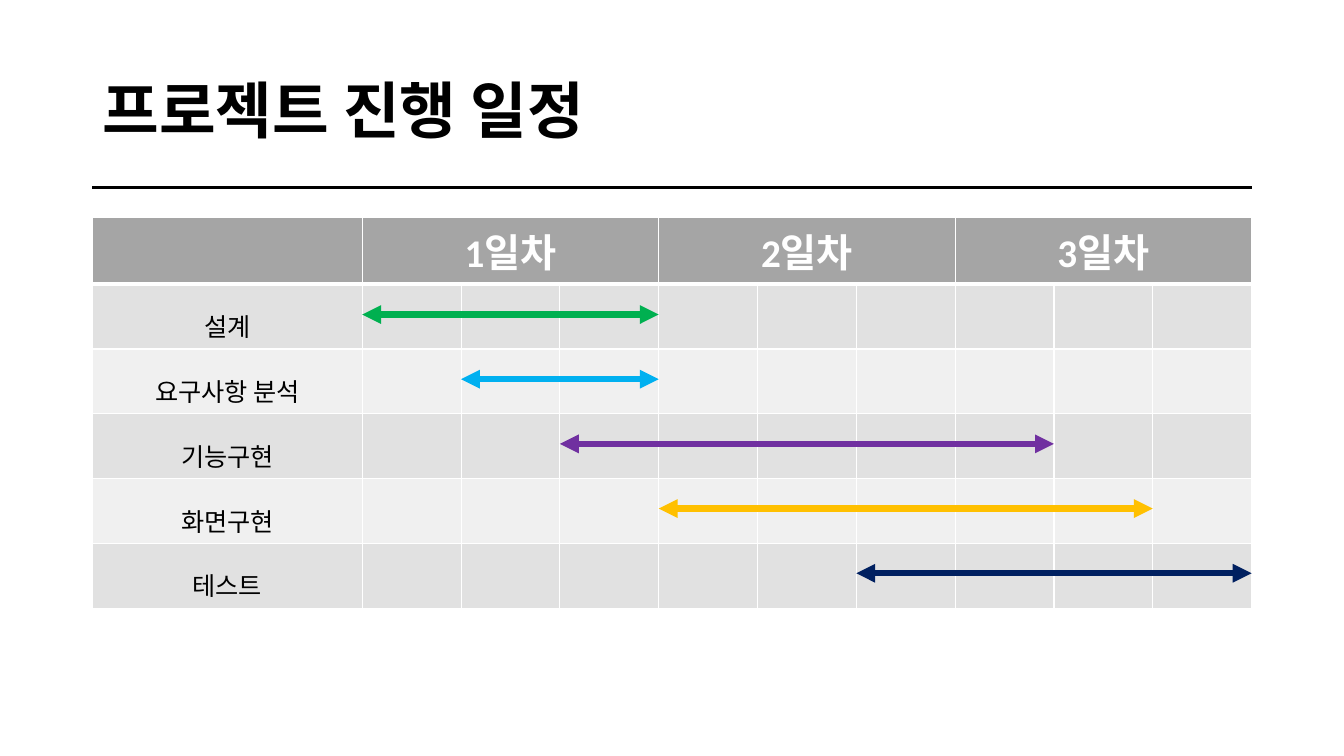
from dataclasses import dataclass

from lxml.etree import SubElement as Sub
from pptx import Presentation
from pptx.dml.color import RGBColor as RGB
from pptx.enum.shapes import MSO_CONNECTOR as Link
from pptx.enum.text import MSO_ANCHOR as Anchor, MSO_AUTO_SIZE as Fit, PP_ALIGN as Align
from pptx.oxml.ns import qn
from pptx.util import Cm, Pt


@dataclass(frozen=True)
class Theme:
    font: str = "Calibri"
    ink: str = "000000"
    white: str = "FFFFFF"
    head: str = "A5A5A5"
    bands: tuple = ("E1E1E1", "F0F0F0")
    title: int = 44
    day: int = 28
    label: int = 18


@dataclass(frozen=True)
class Box:
    left: float
    top: float
    width: float
    height: float


THEME = Theme()
DAYS = ("1일차", "2일차", "3일차")
PARTS = 3  # columns per day
LABEL_W = 6.8
# task, first column edge, last column edge, arrow colour
TASKS = (
    ("설계", 0, 3, "00B050"),
    ("요구사항 분석", 1, 3, "00B0F0"),
    ("기능구현", 2, 7, "7030A0"),
    ("화면구현", 3, 8, "FFC000"),
    ("테스트", 5, 9, "002060"),
)


def style(par, size, color, bold=False, align=Align.CENTER, space=None):
    font = par.font
    font.name, font.size, font.bold = THEME.font, Pt(size), bold
    font.color.rgb = RGB.from_string(color)
    par.alignment = align
    if space:
        par.line_spacing = space


def draw_line(slide, start, end, color, width, heads=False):
    line = slide.shapes.add_connector(Link.STRAIGHT, *map(Cm, start + end))
    line.line.color.rgb = RGB.from_string(color)
    line.line.width = Pt(width)
    if heads:
        stroke = line.line._get_or_add_ln()
        for tag in ("a:headEnd", "a:tailEnd"):
            Sub(stroke, qn(tag), type="triangle")
    Sub(line._element.spPr, qn("a:effectLst"))


def paint(cell, fill, top=1, base=1):
    """Give a cell its fill and white borders."""
    props = cell._tc.get_or_add_tcPr()
    for side, width in (("L", 1), ("R", 1), ("T", top), ("B", base)):
        edge = Sub(props, qn(f"a:ln{side}"), w=str(Pt(width)))
        Sub(Sub(edge, qn("a:solidFill")), qn("a:srgbClr"), val=THEME.white)
    cell.fill.solid()
    cell.fill.fore_color.rgb = RGB.from_string(fill)


def add_title(slide, box, text):
    title = slide.shapes.title
    title.left, title.top = Cm(box.left), Cm(box.top)
    title.width, title.height = Cm(box.width), Cm(box.height)
    frame = title.text_frame
    frame.text = text
    frame.auto_size, frame.vertical_anchor = Fit.NONE, Anchor.MIDDLE
    style(frame.paragraphs[0], THEME.title, THEME.ink, True, Align.LEFT, 0.9)
    base = box.top + box.height
    draw_line(slide, (box.left, base), (box.left + box.width, base), THEME.ink, 2.25)


def add_grid(slide, box):
    count = len(DAYS) * PARTS
    shape = slide.shapes.add_table(
        len(TASKS) + 1, count + 1, Cm(box.left), Cm(box.top), Cm(box.width), Cm(box.height))
    table = shape.table
    for idx, col in enumerate(table.columns):
        col.width = Cm((box.width - LABEL_W) / count if idx else LABEL_W)
    for idx, row in enumerate(table.rows):
        row.height = Cm(box.height / (len(TASKS) + 1))
        fill = THEME.bands[(idx - 1) % 2] if idx else THEME.head
        for cell in row.cells:
            paint(cell, fill, 3 if idx == 1 else 1, 1 if idx else 3)
    for idx, day in enumerate(DAYS):
        first = 1 + idx * PARTS
        cell = table.cell(0, first)
        cell.merge(table.cell(0, first + PARTS - 1))
        cell.text = day
        style(cell.text_frame.paragraphs[0], THEME.day, THEME.white, True)
    for idx, task in enumerate(TASKS, 1):
        cell = table.cell(idx, 0)
        cell.text = task[0]
        style(cell.text_frame.paragraphs[0], THEME.label, THEME.ink, space=1.5)


def add_spans(slide, box):
    """Draw each task's arrow across the columns it fills."""
    step = (box.width - LABEL_W) / (len(DAYS) * PARTS)
    high = box.height / (len(TASKS) + 1)
    left = box.left + LABEL_W
    for idx, (_, first, last, color) in enumerate(TASKS, 1):
        mid = box.top + (idx + 0.5) * high
        draw_line(slide, (left + first * step, mid), (left + last * step, mid),
                  color, 4.5, heads=True)


def main():
    deck = Presentation()
    deck.slide_width, deck.slide_height = Cm(33.87), Cm(19.05)
    slide = deck.slides.add_slide(deck.slide_layouts[5])
    add_title(slide, Box(2.33, 1.02, 29.21, 3.7), "프로젝트 진행 일정")
    plan = Box(2.33, 5.48, 29.21, 9.78)
    add_grid(slide, plan)
    add_spans(slide, plan)
    deck.save("out.pptx")


if __name__ == "__main__":
    main()
